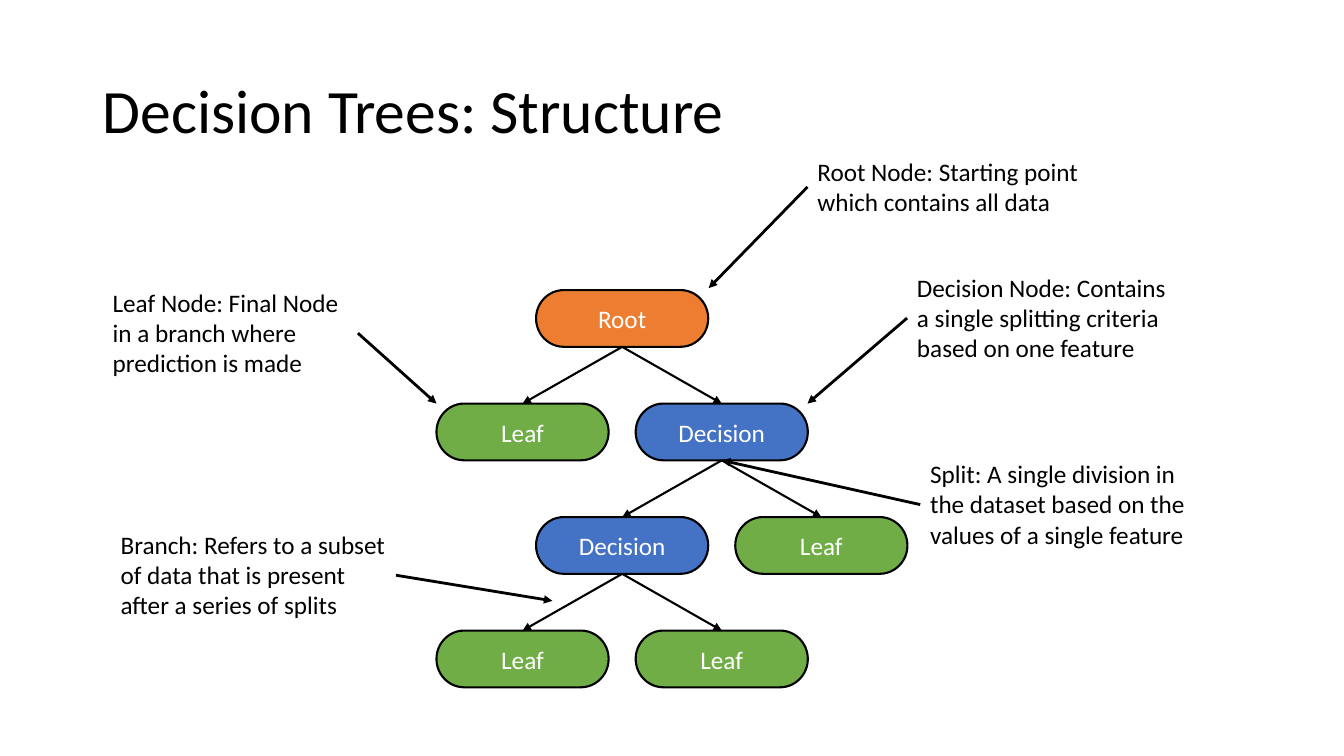
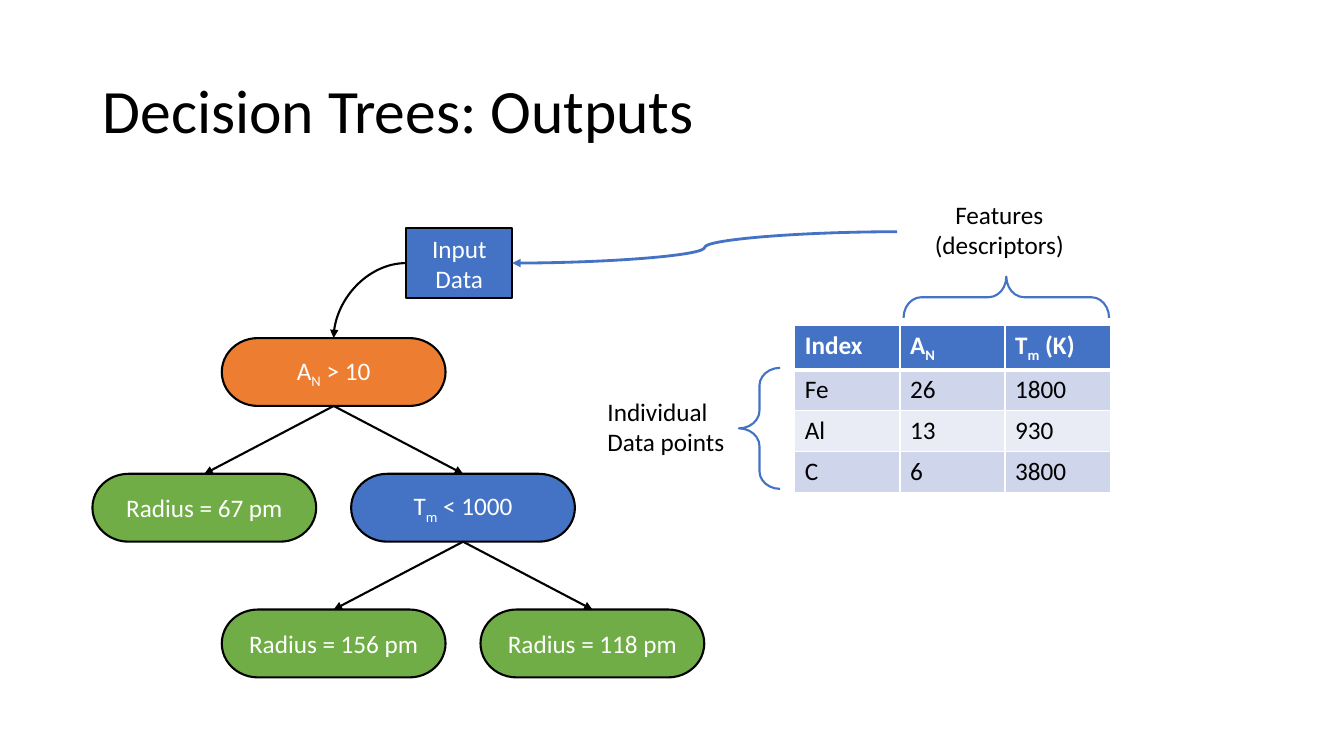
from dataclasses import dataclass

from lxml import etree
from pptx import Presentation
from pptx import util as u
from pptx.dml.color import RGBColor
from pptx.enum import shapes, text
from pptx.oxml.ns import qn


@dataclass(frozen=True)
class Theme:
    font: str = "Calibri"
    title_size: int = 44
    body_size: int = 18
    black: str = "000000"
    white: str = "FFFFFF"
    root: str = "ED7D31"
    decision: str = "4472C4"
    leaf: str = "70AD47"
    bands: tuple = ("CFD5EA", "E9EBF5")
    thin: float = 1.5
    thick: float = 2


THEME = Theme()
TOP, LEFT, BOTTOM, RIGHT = range(4)

# Lengths are in centimetres. Text between tildes is subscript.
SLIDE_SIZE = (33.87, 19.05)
TITLE_BOX = (2.33, 1.01, 29.21, 3.68)

# Nodes: name, label, fill, column and row from the root, parent
STRUCTURE_TREE = {
    "center": 15.68, "top": 7.31, "node": (4.34, 1.43), "column": 2.51,
    "nodes": [
        ("root", "Root", THEME.root, 0, 0, None),
        ("first split", "Decision", THEME.decision, 1, 1, "root"),
        ("first leaf", "Leaf", THEME.leaf, -1, 1, "root"),
        ("second leaf", "Leaf", THEME.leaf, 2, 2, "first split"),
        ("second split", "Decision", THEME.decision, 0, 2, "first split"),
        ("third leaf", "Leaf", THEME.leaf, 1, 3, "second split"),
        ("fourth leaf", "Leaf", THEME.leaf, -1, 3, "second split"),
    ],
}
OUTPUT_TREE = {
    "center": 8.41, "top": 8.52, "node": (5.64, 1.71), "column": 3.26,
    "nodes": [
        ("root", "A~N~ > 10", THEME.root, 0, 0, None),
        ("split", "T~m~ < 1000", THEME.decision, 1, 1, "root"),
        ("left leaf", "Radius = 67 pm", THEME.leaf, -1, 1, "root"),
        ("high leaf", "Radius = 118 pm", THEME.leaf, 2, 2, "split"),
        ("low leaf", "Radius = 156 pm", THEME.leaf, 0, 2, "split"),
    ],
}

# Callouts: text, box, side the arrow leaves, arrow target (point or node name)
CALLOUTS = [
    ("Decision Node: Contains a single splitting criteria based on one feature",
     (22.86, 6.73, 7.16, 2.57), LEFT, (20.35, 10.17)),
    ("Leaf Node: Final Node in a branch where prediction is made",
     (2.59, 7.11, 6.43, 2.57), RIGHT, (11, 10.17)),
    ("Root Node: Starting point which contains all data",
     (20.35, 3.81, 7.16, 1.8), LEFT, (17.86, 7.26)),
    ("Split: A single division in the dataset based on the values of a single feature",
     (23.19, 11.43, 7.16, 2.57), LEFT, "first split"),
    ("Branch: Refers to a subset of data that is present after a series of splits",
     (2.79, 13.21, 7.19, 2.57), RIGHT, (13.92, 15.14)),
]

DATA_ROWS = [
    ("Index", "A~N~", "T~m~ (K)"),
    ("Fe", "26", "1800"),
    ("Al", "13", "930"),
    ("C", "6", "3800"),
]
TABLE_ORIGIN = (20.03, 8.2)
TABLE_CELL = (2.65, 1.03)
# Braces: unrotated box, rotation
BRACES = [((18.62, 9.27, 1.04, 3.05), 0), ((24.84, 4.9, 1.04, 5.18), 90)]
TABLE_LABELS = [
    ("Individual Data points", (15.06, 9.86, 3.71, 1.8), text.PP_ALIGN.LEFT),
    ("Features (descriptors)", (22.38, 4.9, 5.61, 1.8), text.PP_ALIGN.CENTER),
]
INPUT_BOX = (10.24, 5.74, 2.67, 1.78)
FEATURES_START = (22.61, 5.84)


def lengths(values):
    return [u.Cm(value) for value in values]


def rgb(color):
    return RGBColor.from_string(color)


def write(frame, content, color=THEME.black, size=THEME.body_size,
          align=text.PP_ALIGN.LEFT, bold=False):
    """Fill a text frame with one paragraph, lowering parts between tildes."""
    paragraph = frame.paragraphs[0]
    paragraph.alignment = align
    font = paragraph.font
    font.name, font.size, font.bold = THEME.font, u.Pt(size), bold
    font.color.rgb = rgb(color)
    for index, part in enumerate(content.split("~")):
        if part:
            run = paragraph.add_run()
            run.text = part
            if index % 2:
                run._r.get_or_add_rPr().set("baseline", "-25000")
    return paragraph


def add_titled_slide(presentation, title):
    slide = presentation.slides.add_slide(presentation.slide_layouts[5])
    shape = slide.shapes.title
    shape.left, shape.top, shape.width, shape.height = lengths(TITLE_BOX)
    frame = shape.text_frame
    frame.auto_size = text.MSO_AUTO_SIZE.NONE
    frame.vertical_anchor = text.MSO_ANCHOR.MIDDLE
    write(frame, title, size=THEME.title_size).line_spacing = 0.9
    return slide


def add_text(slide, content, box, align=text.PP_ALIGN.LEFT):
    shape = slide.shapes.add_textbox(*lengths(box))
    shape.text_frame.word_wrap = True
    write(shape.text_frame, content, align=align)
    return shape


def add_node(slide, preset, box, label, fill):
    shape = slide.shapes.add_shape(preset, *lengths(box))
    shape.shadow.inherit = False
    shape.fill.solid()
    shape.fill.fore_color.rgb = rgb(fill)
    shape.line.color.rgb = rgb(THEME.black)
    shape.line.width = u.Pt(THEME.thin)
    shape.text_frame.vertical_anchor = text.MSO_ANCHOR.MIDDLE
    write(shape.text_frame, label, THEME.white, align=text.PP_ALIGN.CENTER)
    return shape


def is_point(place):
    return isinstance(place[0], (int, float))


def locate(place):
    """Position of a point in centimetres or of a (shape, side) pair."""
    if is_point(place):
        return lengths(place)
    shape, side = place
    across, down = {TOP: (1, 0), LEFT: (0, 1), BOTTOM: (1, 2), RIGHT: (2, 1)}[side]
    return (shape.left + shape.width * across // 2,
            shape.top + shape.height * down // 2)


def add_arrow(slide, start, end, width=THEME.thin, color=THEME.black,
              kind=shapes.MSO_CONNECTOR.STRAIGHT):
    connector = slide.shapes.add_connector(kind, *locate(start), *locate(end))
    if not is_point(start):
        connector.begin_connect(*start)
    if not is_point(end):
        connector.end_connect(*end)
    connector.line.color.rgb = rgb(color)
    connector.line.width = u.Pt(width)
    properties = connector._element.spPr
    etree.SubElement(properties.find(qn("a:ln")), qn("a:tailEnd"), type="triangle")
    etree.SubElement(properties, qn("a:effectLst"))
    return connector


def add_tree(slide, tree):
    width, height = tree["node"]
    nodes = {}
    for name, label, fill, column, row, parent in tree["nodes"]:
        box = (tree["center"] + column * tree["column"] - width / 2,
               tree["top"] + row * 2 * height, width, height)
        nodes[name] = add_node(slide, shapes.MSO_SHAPE.FLOWCHART_TERMINATOR,
                               box, label, fill)
        if parent:
            add_arrow(slide, (nodes[parent], BOTTOM), (nodes[name], TOP))
    return nodes


def set_borders(cell, widths):
    properties = cell._tc.get_or_add_tcPr()
    for side, width in zip("LRTB", widths):
        line = etree.SubElement(properties, qn(f"a:ln{side}"), w=str(u.Pt(width)))
        fill = etree.SubElement(line, qn("a:solidFill"))
        etree.SubElement(fill, qn("a:srgbClr"), val=THEME.white)


def add_data_table(slide):
    rows, columns = len(DATA_ROWS), len(DATA_ROWS[0])
    width, height = TABLE_CELL
    box = (*TABLE_ORIGIN, width * columns, height * rows)
    table = slide.shapes.add_table(rows, columns, *lengths(box)).table
    table.horz_banding = False
    for row, values in enumerate(DATA_ROWS):
        header = row == 0
        for column, value in enumerate(values):
            cell = table.cell(row, column)
            set_borders(cell, (1, 1, 3 if row == 1 else 1, 3 if header else 1))
            cell.fill.solid()
            cell.fill.fore_color.rgb = rgb(
                THEME.decision if header else THEME.bands[(row - 1) % 2])
            write(cell.text_frame, value,
                  THEME.white if header else THEME.black, bold=header)


def add_brace(slide, box, rotation):
    brace = slide.shapes.add_shape(shapes.MSO_SHAPE.LEFT_BRACE, *lengths(box))
    brace.shadow.inherit = False
    brace.rotation = rotation
    brace.adjustments[0] = 0.43
    brace.fill.background()
    brace.line.color.rgb = rgb(THEME.decision)
    brace.line.width = u.Pt(THEME.thin)


def build_structure(presentation):
    slide = add_titled_slide(presentation, "Decision Trees: Structure")
    nodes = add_tree(slide, STRUCTURE_TREE)
    for content, box, side, target in CALLOUTS:
        callout = add_text(slide, content, box)
        end = (nodes[target], BOTTOM) if target in nodes else target
        add_arrow(slide, (callout, side), end, THEME.thick)


def build_outputs(presentation):
    slide = add_titled_slide(presentation, "Decision Trees: Outputs")
    add_data_table(slide)
    for box, rotation in BRACES:
        add_brace(slide, box, rotation)
    for label in TABLE_LABELS:
        add_text(slide, *label)
    nodes = add_tree(slide, OUTPUT_TREE)
    input_data = add_node(slide, shapes.MSO_SHAPE.FLOWCHART_PROCESS, INPUT_BOX,
                          "Input Data", THEME.decision)
    curve = shapes.MSO_CONNECTOR.CURVE
    add_arrow(slide, FEATURES_START, (input_data, RIGHT), THEME.thick,
              THEME.decision, curve)
    bend = add_arrow(slide, (input_data, LEFT), (nodes["root"], TOP), kind=curve)
    bend._element.spPr.find(qn("a:prstGeom")).set("prst", "curvedConnector2")


def main():
    presentation = Presentation()
    presentation.slide_width, presentation.slide_height = lengths(SLIDE_SIZE)
    build_structure(presentation)
    build_outputs(presentation)
    presentation.save("out.pptx")


if __name__ == "__main__":
    main()
